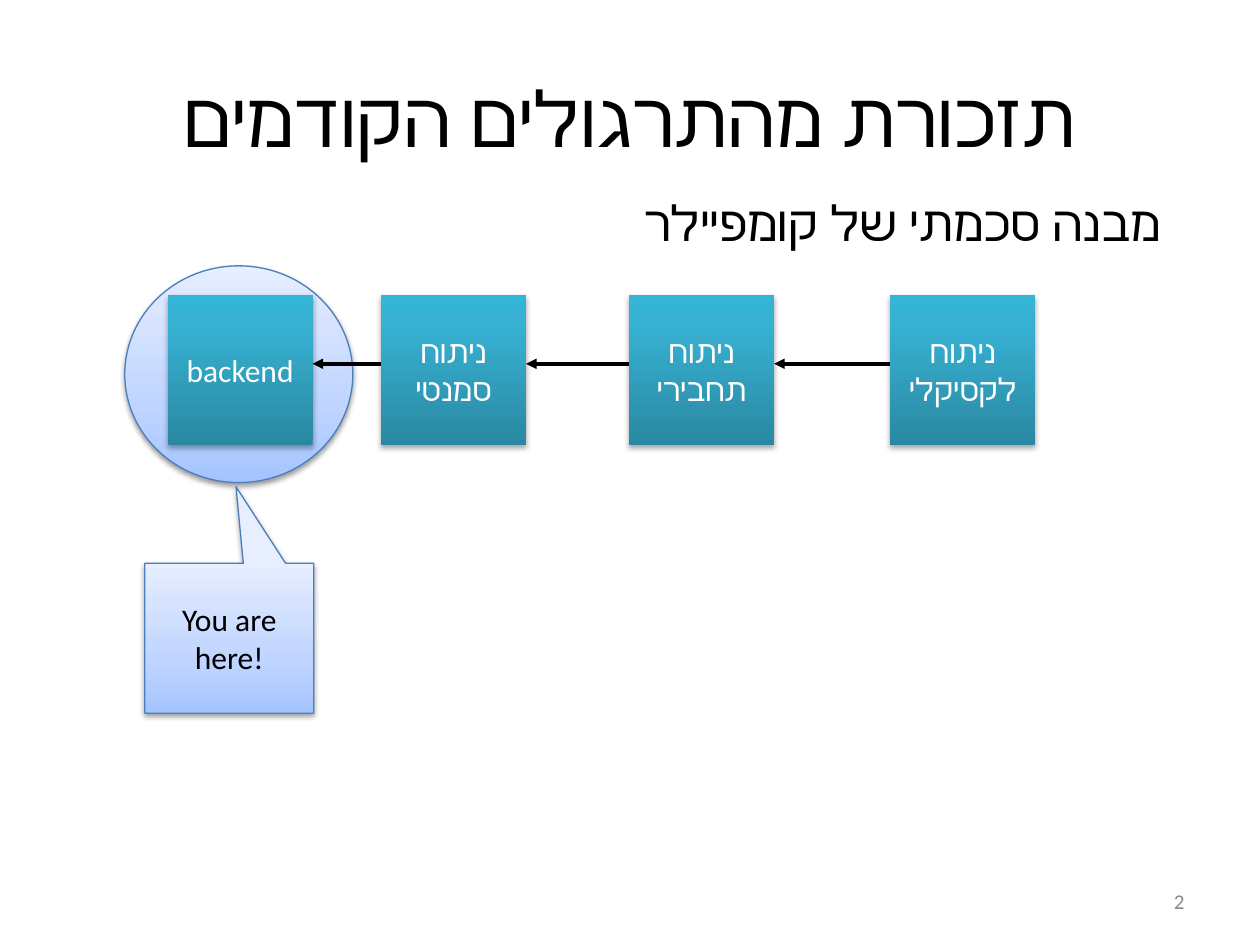
from itertools import pairwise

from lxml import etree
from pptx import Presentation
from pptx.dml.color import RGBColor
from pptx.enum.shapes import MSO_CONNECTOR, MSO_SHAPE
from pptx.enum.text import MSO_ANCHOR, PP_ALIGN
from pptx.oxml import parse_xml
from pptx.oxml.ns import nsdecls, qn
from pptx.util import Inches, Pt

# Grid of square cells: 100 columns by 75 rows
COLUMNS, ROWS = 100, 75
CELL = Inches(0.1)
FONT = "Calibri"
COLORS = {
    "text": "000000", "light": "FFFFFF", "number": "898989", "outline": "4B7EBC",
    "pale_0": "A4C4FF", "pale_1": "BFD4FF", "pale_2": "E6EEFF",
    "teal_0": "2A88A2", "teal_1": "37B1D2", "teal_2": "34B4D6",
}
# Middle gradient stop (%), shadow opacity (%), shadow distance (pt)
STYLES = {"pale": (35, 38, 1.6), "teal": (80, 35, 1.8)}


def cells(*lengths):
    return [round(length * CELL) for length in lengths]


def rgb(name):
    return RGBColor.from_string(COLORS[name])


def write(frame, lines, size, color, align, anchor=MSO_ANCHOR.MIDDLE, wrap=True):
    frame.word_wrap = wrap
    frame.vertical_anchor = anchor
    frame.text = "\n".join(lines)
    for paragraph in frame.paragraphs:
        paragraph.alignment = align
        paragraph.font.size = Pt(size)
        paragraph.font.name = FONT
        paragraph.font.color.rgb = rgb(color)


def add_text(slide, box, *text, **options):
    frame = slide.shapes.add_textbox(*cells(*box)).text_frame
    write(frame, *text, **options)
    return frame


def add_panel(slide, preset, box, style, outlined=False):
    """Add a shape with an upward gradient and a soft shadow below it."""
    panel = slide.shapes.add_shape(preset, *cells(*box))
    middle, opacity, distance = STYLES[style]
    panel.fill.gradient()
    panel.fill.gradient_angle = 90
    stops = panel.fill._fill._gradFill.find(qn("a:gsLst"))
    for stop in list(stops):
        stops.remove(stop)
    for index, position in enumerate((0, middle, 100)):
        stops.append(parse_xml(
            f'<a:gs {nsdecls("a")} pos="{position * 1000}">'
            f'<a:srgbClr val="{COLORS[f"{style}_{index}"]}"/></a:gs>'))
    if outlined:
        panel.line.color.rgb = rgb("outline")
        panel.line.width = Pt(0.75)
    else:
        panel.line.fill.background()
    panel.shadow.inherit = False
    panel._element.spPr.find(qn("a:effectLst")).append(parse_xml(
        f'<a:outerShdw {nsdecls("a")} blurRad="{Pt(3.1)}" dist="{Pt(distance)}" '
        f'dir="5400000" rotWithShape="0"><a:srgbClr val="{COLORS["text"]}">'
        f'<a:alpha val="{opacity * 1000}"/></a:srgbClr></a:outerShdw>'))
    return panel


def add_arrow(slide, start, end, row):
    arrow = slide.shapes.add_connector(
        MSO_CONNECTOR.STRAIGHT, *cells(start, row, end, row))
    arrow.line.color.rgb = rgb("text")
    arrow.line.width = Pt(2)
    etree.SubElement(arrow.line._get_or_add_ln(), qn("a:tailEnd"), type="triangle")
    etree.SubElement(arrow._element.spPr, qn("a:effectLst"))


def add_bullet_line(slide, box, line):
    """Right-to-left bullet with a hanging indent."""
    frame = slide.shapes.add_textbox(*cells(*box)).text_frame
    properties = frame.paragraphs[0]._p.get_or_add_pPr()
    indent = Inches(0.38)
    for key, value in (("marL", indent), ("indent", -indent), ("rtl", 1)):
        properties.set(key, str(value))
    etree.SubElement(properties, qn("a:buFont"), typeface="Arial")
    etree.SubElement(properties, qn("a:buChar"), char="•")
    write(frame, [line], 28, "text", PP_ALIGN.RIGHT, MSO_ANCHOR.TOP)


def add_pipeline(slide, box, stages):
    """Compiler stages from right to left, joined by arrows."""
    left, top, width, height = box
    stage_width = width / 6
    for share, lines in stages:
        stage = add_panel(slide, MSO_SHAPE.RECTANGLE,
                          (left + share * width, top, stage_width, height), "teal")
        write(stage.text_frame, lines, 18, "light", PP_ALIGN.CENTER, wrap=False)
    for (source, _), (target, _) in pairwise(stages):
        add_arrow(slide, left + source * width,
                  left + target * width + stage_width, top + 0.46 * height)


def add_callout(slide, box, line):
    callout = add_panel(slide, MSO_SHAPE.RECTANGULAR_CALLOUT, box, "pale", outlined=True)
    callout.adjustments[0] = 0.04
    callout.adjustments[1] = -1.01
    write(callout.text_frame, [line], 18, "text", PP_ALIGN.CENTER)


def main():
    presentation = Presentation()
    presentation.slide_width, presentation.slide_height = cells(COLUMNS, ROWS)
    slide = presentation.slides.add_slide(presentation.slide_layouts[6])

    # Heading and topic
    add_text(slide, (5, 3, 90, 12.5), ["תזכורת מהתרגולים הקודמים"],
             44, "text", PP_ALIGN.CENTER)
    add_bullet_line(slide, (3.1, 14.8, 90, 49.5), "מבנה סכמתי של קומפיילר")

    # Highlight behind the current stage
    add_panel(slide, MSO_SHAPE.OVAL, (9.9, 21.1, 18.1, 17.2), "pale", outlined=True)

    # Slide number
    add_text(slide, (71.7, 69.5, 23.3, 4), ["2"], 12, "number", PP_ALIGN.RIGHT)

    # Stages, each with its left edge as a share of the pipeline
    add_pipeline(slide, (13.3, 23.4, 69.1, 11.9), [
        (0.83, ["ניתוח", "לקסיקלי"]),
        (0.53, ["ניתוח", "תחבירי"]),
        (0.245, ["ניתוח", "סמנטי"]),
        (0, ["backend"]),
    ])
    add_callout(slide, (11.5, 44.7, 13.4, 11.9), "You are here!")

    presentation.save("out.pptx")


if __name__ == "__main__":
    main()
